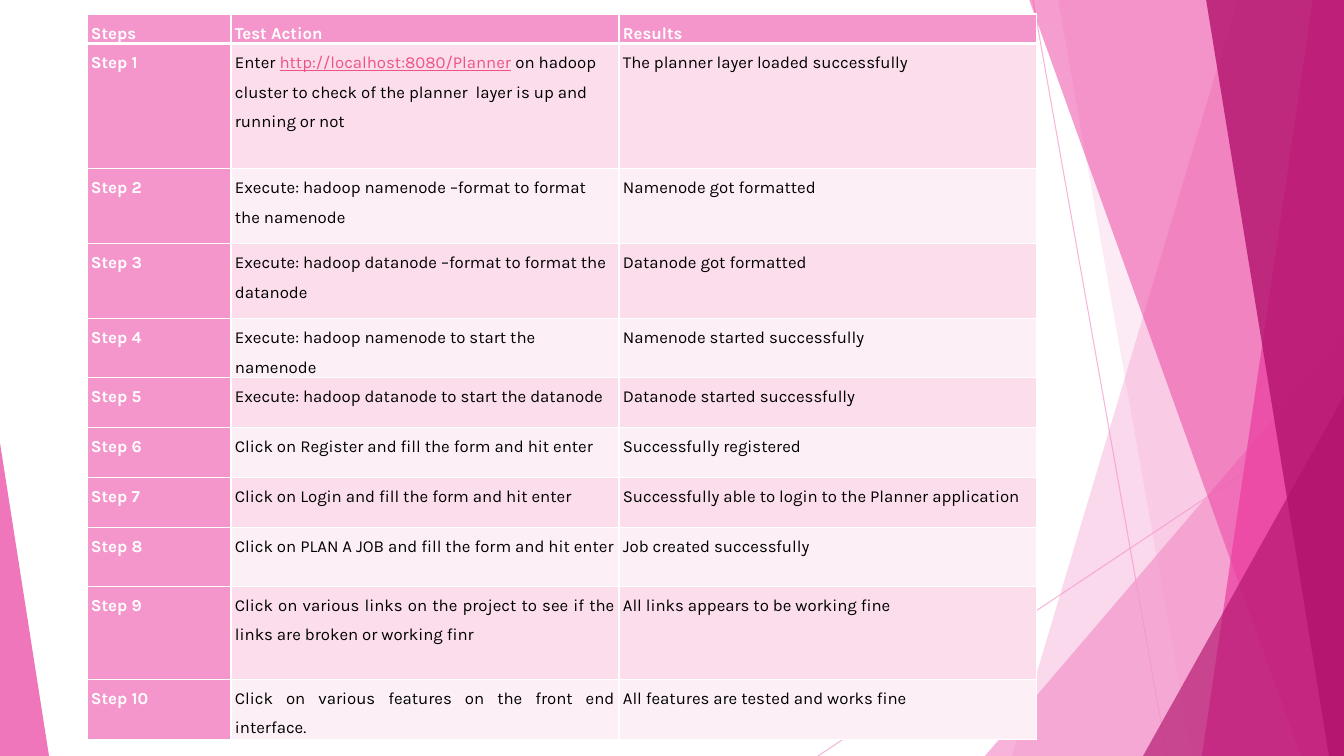
from lxml import etree
from pptx import Presentation
from pptx.dml.color import RGBColor
from pptx.enum.shapes import MSO_CONNECTOR as CONNECTOR, MSO_SHAPE as SHAPE
from pptx.enum.text import PP_ALIGN as ALIGN
from pptx.oxml import parse_xml
from pptx.oxml.ns import nsdecls, qn
from pptx.util import Pt

PX = 914400 / 100.8
SLIDE_W, SLIDE_H = 1344, 756

WHITE = RGBColor(0xFF, 0xFF, 0xFF)
BLACK = RGBColor(0, 0, 0)
PINK = RGBColor(0xF4, 0x96, 0xCB)
MAGENTA = RGBColor(0xEB, 0x3D, 0x9F)
PLUM = RGBColor(0xB2, 0x13, 0x6D)
LINK = RGBColor(0xEF, 0x52, 0x85)
BANDS = (RGBColor(0xFB, 0xDD, 0xEC), RGBColor(0xFD, 0xEF, 0xF6))

HEAD = {"name": "Karla", "size": Pt(12), "bold": True, "color": WHITE}
BODY = HEAD | {"bold": False, "color": BLACK}
URL = BODY | {"underline": True, "color": LINK}

COL_WIDTHS = (144, 388, 418)
ROW_HEIGHTS = (28, 125, 75, 75, 50, 50, 50, 50, 59, 93, 60)
FIRST_JUSTIFIED = 7
HEADINGS = ("Steps", "Test Action", "Results")
# Each action is a list of (text, format) runs or a plain string.
STEPS = (
    ([("Enter ", BODY), ("http://localhost:8080/Planner", URL),
      (" on hadoop cluster to check of the planner  layer is up and running or not", BODY)],
     "The planner layer loaded successfully"),
    ("Execute: hadoop namenode –format to format the namenode", "Namenode got formatted"),
    ("Execute: hadoop datanode –format to format the datanode", "Datanode got formatted"),
    ("Execute: hadoop namenode to start the namenode", "Namenode started successfully"),
    ("Execute: hadoop datanode to start the datanode", "Datanode started successfully"),
    ("Click on Register and fill the form and hit enter", "Successfully registered"),
    ("Click on Login and fill the form and hit enter",
     "Successfully able to login to the Planner application"),
    ("Click on PLAN A JOB and fill the form and hit enter", "Job created successfully"),
    ("Click on various links on the project to see if the links are broken or working finr",
     "All links appears to be working fine"),
    ("Click on various features on the front end interface.",
     "All features are tested and works fine"),
)


def px(*lengths):
    return [round(n * PX) for n in lengths]


def set_alpha(shape, percent):
    """Make the only solid colour of a shape partly transparent."""
    color = next(shape._element.spPr.iter(qn("a:srgbClr")))
    etree.SubElement(color, qn("a:alpha"), val=str(percent * 1000))


def paint(shape, color, alpha):
    shape.shadow.inherit = False
    shape.fill.solid()
    shape.fill.fore_color.rgb = color
    set_alpha(shape, alpha)
    shape.line.fill.background()


def add_ray(s, x1, y1, x2, y2):
    line = s.shapes.add_connector(CONNECTOR.STRAIGHT, *px(x1, y1, x2, y2))
    line.line.color.rgb = PINK
    line.line.width = Pt(0.75)
    set_alpha(line, 70)
    etree.SubElement(line._element.spPr, qn("a:effectLst"))


def add_facet(s, top_x, bottom_x, color, alpha):
    """Add a full-height panel with a slanted left side, up to the right edge."""
    builder = s.shapes.build_freeform(top_x, -1, scale=PX)
    builder.add_line_segments(
        [(SLIDE_W, -1), (SLIDE_W, SLIDE_H), (bottom_x, SLIDE_H)], close=True)
    paint(builder.convert_to_shape(), color, alpha)


def add_wedge(s, x, y, w, apex, color, alpha):
    """Add a triangle standing on the bottom edge; apex runs from 0 to 1."""
    wedge = s.shapes.add_shape(SHAPE.ISOSCELES_TRIANGLE, *px(x, y, w, SLIDE_H - y))
    wedge.adjustments[0] = apex
    paint(wedge, color, alpha)


def add_backdrop(s):
    add_ray(s, 1033, 0, 1167, SLIDE_H)
    add_ray(s, SLIDE_W, 406, 818, SLIDE_H)
    add_facet(s, 1238, 1012, PINK, 36)
    add_facet(s, 1058, 1192, PINK, 20)
    add_wedge(s, 985, 336, 359, 1, PINK, 72)
    add_facet(s, 1029, 1301, MAGENTA, 50)
    add_facet(s, 1313, 1202, MAGENTA, 70)
    add_facet(s, 1206, 1329, PLUM, 80)
    add_wedge(s, 1143, 396, 201, 1, PLUM, 66)
    add_wedge(s, 0, 443, 49, 0, MAGENTA, 70)


def set_borders(cell, top, bottom):
    """Draw white borders, with the top and bottom widths in points."""
    tc_pr = cell._tc.get_or_add_tcPr()
    for side, width in (("L", 1), ("R", 1), ("T", top), ("B", bottom)):
        tc_pr.append(parse_xml(
            f'<a:ln{side} {nsdecls("a")} w="{Pt(width)}"><a:solidFill>'
            f'<a:srgbClr val="{WHITE}"/></a:solidFill></a:ln{side}>'))


def add_run(p, text, fmt):
    r = p.add_run()
    r.text = text
    for key, value in fmt.items():
        if key == "color":
            r.font.color.rgb = value
        else:
            setattr(r.font, key, value)


def fill_cell(cell, content, fmt, fill, align):
    cell.margin_left, cell.margin_right = px(4, 4)
    cell.margin_top = cell.margin_bottom = 0
    cell.fill.solid()
    cell.fill.fore_color.rgb = fill
    p = cell.text_frame.paragraphs[0]
    p.line_spacing = 1.5
    p.alignment = align
    for text, run_fmt in [(content, fmt)] if isinstance(content, str) else content:
        add_run(p, text, run_fmt)


def add_steps_table(s):
    rows = [HEADINGS] + [(f"Step {i}", *step) for i, step in enumerate(STEPS, 1)]
    frame = s.shapes.add_table(len(rows), len(HEADINGS),
                               *px(87, 14, sum(COL_WIDTHS), sum(ROW_HEIGHTS)))
    table = frame.table
    table.first_row = table.horz_banding = False
    for column, width in zip(table.columns, px(*COL_WIDTHS)):
        column.width = width
    for row, height in zip(table.rows, px(*ROW_HEIGHTS)):
        row.height = height
    for i, row in enumerate(rows):
        for j, content in enumerate(row):
            cell = table.cell(i, j)
            is_head = i == 0 or j == 0
            justified = i >= FIRST_JUSTIFIED and j < 2
            set_borders(cell, 3 if i == 1 else 1, 3 if i == 0 else 1)
            fill_cell(cell, content, HEAD if is_head else BODY,
                      PINK if is_head else BANDS[(i - 1) % 2],
                      ALIGN.JUSTIFY if justified else ALIGN.LEFT)


def main():
    prs = Presentation()
    prs.slide_width, prs.slide_height = px(SLIDE_W, SLIDE_H)
    s = prs.slides.add_slide(prs.slide_layouts[6])
    add_backdrop(s)
    add_steps_table(s)
    prs.save("out.pptx")


if __name__ == "__main__":
    main()
